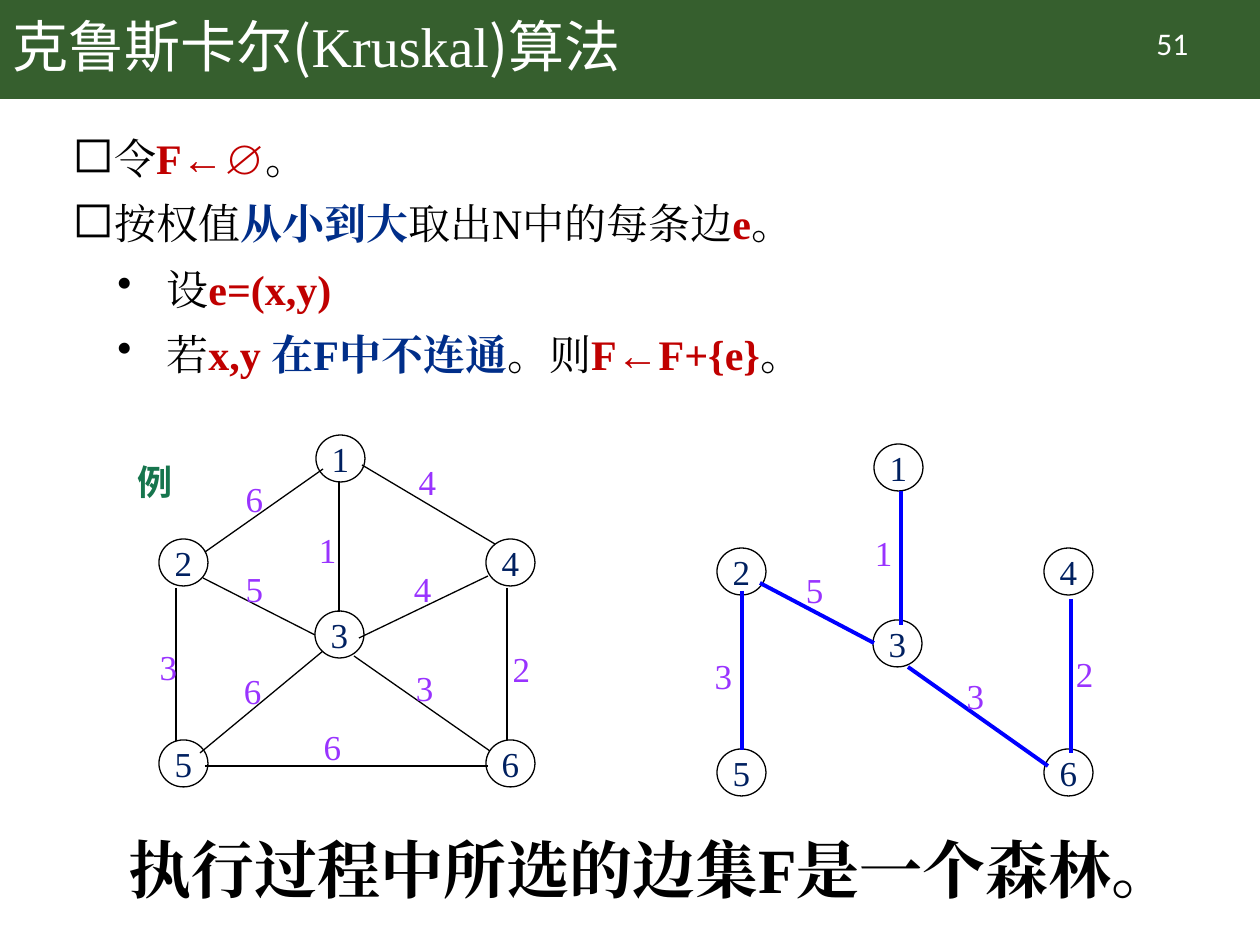
from lxml import etree
from pptx import Presentation
from pptx.dml.color import RGBColor
from pptx.enum.shapes import MSO_CONNECTOR, MSO_SHAPE
from pptx.enum.text import MSO_ANCHOR, PP_ALIGN
from pptx.oxml.ns import qn
from pptx.util import Pt

RECT, OVAL, STRAIGHT = MSO_SHAPE.RECTANGLE, MSO_SHAPE.OVAL, MSO_CONNECTOR.STRAIGHT
TOP, MIDDLE = MSO_ANCHOR.TOP, MSO_ANCHOR.MIDDLE
LEFT, CENTER = PP_ALIGN.LEFT, PP_ALIGN.CENTER
SERIF, CJK, SANS = "Times New Roman", "Noto Sans CJK SC", "Calibri"
PX = 914400 / 126

COLORS = {
    "banner": "365F2E", "white": "FFFFFF", "black": "000000", "red": "C00000",
    "navy": "002E89", "node": "002060", "weight": "9933FF", "tree": "0000FF",
    "example": "16754D",
}

# Content: each step is a level and its (text, colour) runs; coloured runs are bold
TITLE = [("克鲁斯卡尔(", CJK), ("Kruskal", SERIF), (")算法", CJK)]
STEPS = [
    (0, [("令", "black"), ("F←∅", "red"), ("。", "black")]),
    (0, [("按权值", "black"), ("从小到大", "navy"), ("取出N中的每条边", "black"),
         ("e", "red"), ("。", "black")]),
    (1, [("设", "black"), ("e=(x,y)", "red")]),
    (1, [("若", "black"), ("x,y ", "red"), ("在F中不连通", "navy"),
         ("。则", "black"), ("F←F+{e}", "red"), ("。", "black")]),
]
BULLETS = [("◻", 31, 120), ("•", 94, 100)]  # character, text indent, size in percent
CONCLUSION = "执行过程中所选的边集F是一个森林。"

# Graph: node corners, then edges as (from, to, weight, label corner)
NODES = {"1": (316, 435), "2": (159, 539), "3": (315, 611),
         "4": (486, 539), "5": (159, 740), "6": (486, 740)}
NODE_SIZE, LABEL_SIZE = (49, 47), (43, 54)
TREE_SHIFT = (558, 9)
GRAPH_EDGES = [
    ((339, 481), (339, 612), "1", (306, 522)),
    ((323, 469), (205, 552), "6", (233, 471)),
    ((176, 588), (176, 741), "3", (147, 639)),
    ((507, 588), (507, 740), "2", (500, 641)),
    ((205, 766), (488, 766), "6", (311, 719)),
    ((362, 465), (495, 544), "4", (406, 454)),
    ((203, 578), (315, 635), "5", (233, 561)),
    ((488, 576), (359, 638), "4", (401, 561)),
    ((323, 651), (200, 753), "6", (231, 663)),
    ((354, 656), (490, 751), "3", (403, 660)),
]
TREE_EDGES = [
    ((901, 491), (901, 625), "1", (862, 525)),
    ((1071, 599), (1071, 753), "2", (1063, 646)),
    ((742, 591), (742, 750), "3", (702, 648)),
    ((908, 667), (1048, 766), "3", (954, 668)),
    ((760, 583), (874, 643), "5", (793, 562)),
]


def emu(*lengths):
    return [round(length * PX) for length in lengths]


def rgb(name):
    return RGBColor.from_string(COLORS[name])


def set_font(font, size, color, face, bold=False):
    font.size, font.bold, font.name = Pt(size), bold, face
    font.color.rgb = rgb(color)
    set_asian_face(font, face)


def set_asian_face(font, face):
    latin = font._element.find(qn("a:latin"))
    asian = etree.Element(qn("a:ea"), typeface=face)
    latin.addnext(asian)


def set_frame(shape, anchor, wrap):
    frame = shape.text_frame
    frame.vertical_anchor, frame.word_wrap = anchor, wrap
    return frame


def add_text(page, area, text, size, color, face, bold=False,
             align=CENTER, anchor=MIDDLE, wrap=False):
    box = page.shapes.add_textbox(*emu(*area))
    write(set_frame(box, anchor, wrap), text, size, color, face, bold, align)


def write(frame, text, size, color, face, bold=False, align=CENTER):
    para = frame.paragraphs[0]
    para.alignment = align
    para.add_run().text = text
    set_font(para.font, size, color, face, bold)


def add_bullet(para, level):
    mark, indent, percent = BULLETS[level]
    para.level = level
    props = para._p.get_or_add_pPr()
    left, hanging = emu(indent, -49)
    props.set("marL", str(left))
    props.set("indent", str(hanging))
    color = etree.SubElement(props, qn("a:buClr"))
    etree.SubElement(color, qn("a:srgbClr"), val=COLORS["black"])
    etree.SubElement(props, qn("a:buSzPct"), val=str(percent * 1000))
    etree.SubElement(props, qn("a:buChar"), char=mark)


def add_nodes(page, shift):
    for name, corner in NODES.items():
        x, y = (a + b for a, b in zip(corner, shift))
        node = page.shapes.add_shape(OVAL, *emu(x, y, *NODE_SIZE))
        node.shadow.inherit = False
        node.fill.background()
        node.line.color.rgb, node.line.width = rgb("black"), Pt(0.75)
        write(set_frame(node, MIDDLE, False), name, 20, "node", SERIF)


def add_edges(page, edges, color, width):
    for start, end, _, _ in edges:
        edge = page.shapes.add_connector(STRAIGHT, *emu(*start, *end))
        edge.line.color.rgb, edge.line.width = rgb(color), Pt(width)
        etree.SubElement(edge._element.spPr, qn("a:effectLst"))
    for _, _, weight, corner in edges:
        add_text(page, (*corner, *LABEL_SIZE), weight, 20, "weight", SERIF)


def main():
    deck = Presentation()
    deck.slide_width, deck.slide_height = emu(1260, 945)
    page = deck.slides.add_slide(deck.slide_layouts[6])

    # Banner, title and page number
    banner = page.shapes.add_shape(RECT, *emu(0, 0, 1260, 99))
    banner.shadow.inherit = False
    banner.fill.solid()
    banner.fill.fore_color.rgb = rgb("banner")
    banner.line.fill.background()
    title = page.shapes.add_textbox(*emu(0, 0, 1086, 99))
    para = set_frame(title, MIDDLE, True).paragraphs[0]
    para.line_spacing = 0.9
    for text, face in TITLE:
        span = para.add_run()
        span.text = text
        set_font(span.font, 32, "white", face)
    add_text(page, (1097, 18, 151, 50), "51", 18, "white", SANS, anchor=TOP, wrap=True)

    # Algorithm steps
    body = page.shapes.add_textbox(*emu(60, 111, 1174, 815))
    frame = set_frame(body, TOP, True)
    for index, (level, spans) in enumerate(STEPS):
        para = frame.add_paragraph() if index else frame.paragraphs[0]
        add_bullet(para, level)
        para.line_spacing = 1.3
        for text, color in spans:
            span = para.add_run()
            span.text = text
            set_font(span.font, 24, color, SERIF, color != "black")

    # Weighted graph and its spanning tree
    add_text(page, (125, 454, 60, 55), "例", 20, "example", CJK, bold=True)
    add_nodes(page, (0, 0))
    add_edges(page, GRAPH_EDGES, "black", 0.75)
    add_nodes(page, TREE_SHIFT)
    add_edges(page, TREE_EDGES, "tree", 2.25)

    # Conclusion
    add_text(page, (116, 824, 1172, 81), CONCLUSION, 36, "black", SERIF,
             bold=True, align=LEFT, anchor=TOP, wrap=True)
    deck.save("out.pptx")


if __name__ == "__main__":
    main()
